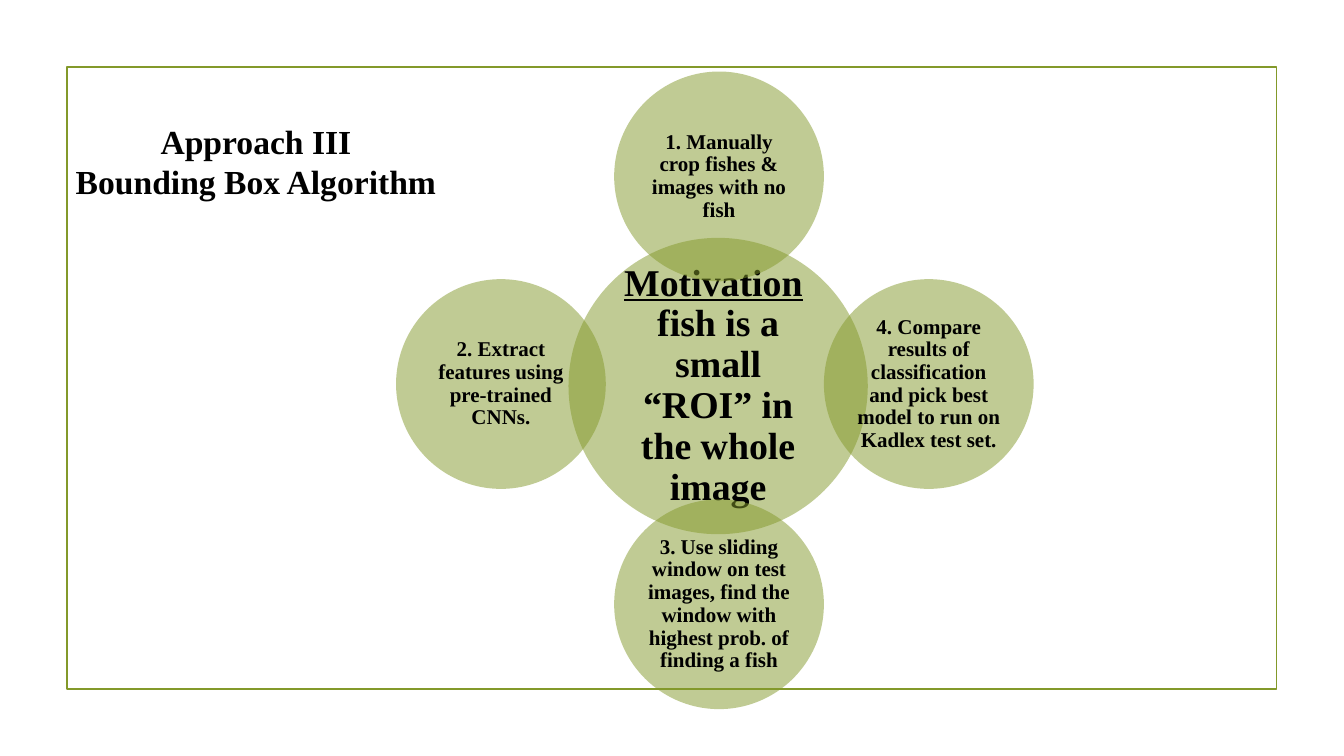
from lxml.etree import SubElement
from pptx import Presentation
from pptx.dml.color import RGBColor
from pptx.enum.shapes import MSO_SHAPE as Shape
from pptx.enum.text import MSO_ANCHOR as Anchor, PP_ALIGN as Align
from pptx.oxml.ns import qn
from pptx.util import Pt

COLORS = {"olive": "83992A", "text": "000000"}
FONT = "Times New Roman"
TITLE = ["Approach III", "Bounding Box Algorithm"]
MOTIVATION = ["Motivation", "  fish is a small “ROI” in the whole image"]
STEPS = [
    ("1. Manually crop fishes & images with no fish", 0, -1),
    ("4. Compare results of classification and pick best model to run on Kadlex test set.", 1, 0),
    ("3. Use sliding window on test images, find the window with highest prob. of finding a fish", 0, 1),
    ("2. Extract features using pre-trained CNNs.", -1, 0),
]
CENTER_X, CENTER_Y = 510.6, 274.3
HUB = (513, 275.75, 213.8, 211.7)
STEP_SIZE = 149.8
REACH = 152.8
HUB_INSET, STEP_INSET = 2.7, 1.5


def color(name):
    return RGBColor.from_string(COLORS[name])


def style_run(run, size):
    run.font.name = FONT
    run.font.size = Pt(size)
    run.font.bold = True
    run.font.color.rgb = color("text")


def add_circle(slide, x, y, width, height, parts, size, inset):
    circle = slide.shapes.add_shape(
        Shape.OVAL, Pt(x - width / 2), Pt(y - height / 2), Pt(width), Pt(height))
    circle.shadow.inherit = False
    circle.line.fill.background()
    circle.fill.solid()
    circle.fill.fore_color.rgb = color("olive")
    fill_color = circle.fill._xPr.find(qn("a:solidFill"))[0]
    SubElement(fill_color, qn("a:alpha"), val="50000")
    frame = circle.text_frame
    frame.word_wrap = True
    frame.vertical_anchor = Anchor.MIDDLE
    frame.margin_left = frame.margin_right = Pt(inset)
    frame.margin_top = frame.margin_bottom = Pt(inset)
    paragraph = frame.paragraphs[0]
    paragraph.alignment = Align.CENTER
    paragraph.line_spacing = 0.9
    for part in parts:
        run = paragraph.add_run()
        run.text = part
        style_run(run, size)
    return paragraph


def main():
    deck = Presentation()
    deck.slide_width, deck.slide_height = Pt(960), Pt(540)
    slide = deck.slides.add_slide(deck.slide_layouts[6])

    border = slide.shapes.add_shape(Shape.RECTANGLE, Pt(47.8), Pt(48), Pt(864), Pt(444))
    border.shadow.inherit = False
    border.fill.background()
    border.line.color.rgb = color("olive")
    border.line.width = Pt(1.25)

    motivation = add_circle(slide, *HUB, MOTIVATION, 27, HUB_INSET)
    motivation.runs[0].font.underline = True

    for step, across, down in STEPS:
        x = CENTER_X + across * REACH + (3 if across == 0 else 0)
        y = CENTER_Y + down * REACH + (4.5 if down else 0)
        add_circle(slide, x, y, STEP_SIZE, STEP_SIZE, [step], 15, STEP_INSET)

    title = slide.shapes.add_textbox(Pt(40.3), Pt(82.8), Pt(285), Pt(65.5))
    title.text_frame.word_wrap = True
    title.text_frame.text = "\n".join(TITLE)
    for paragraph in title.text_frame.paragraphs:
        paragraph.alignment = Align.CENTER
        style_run(paragraph.runs[0], 24)

    deck.save("out.pptx")


if __name__ == "__main__":
    main()
